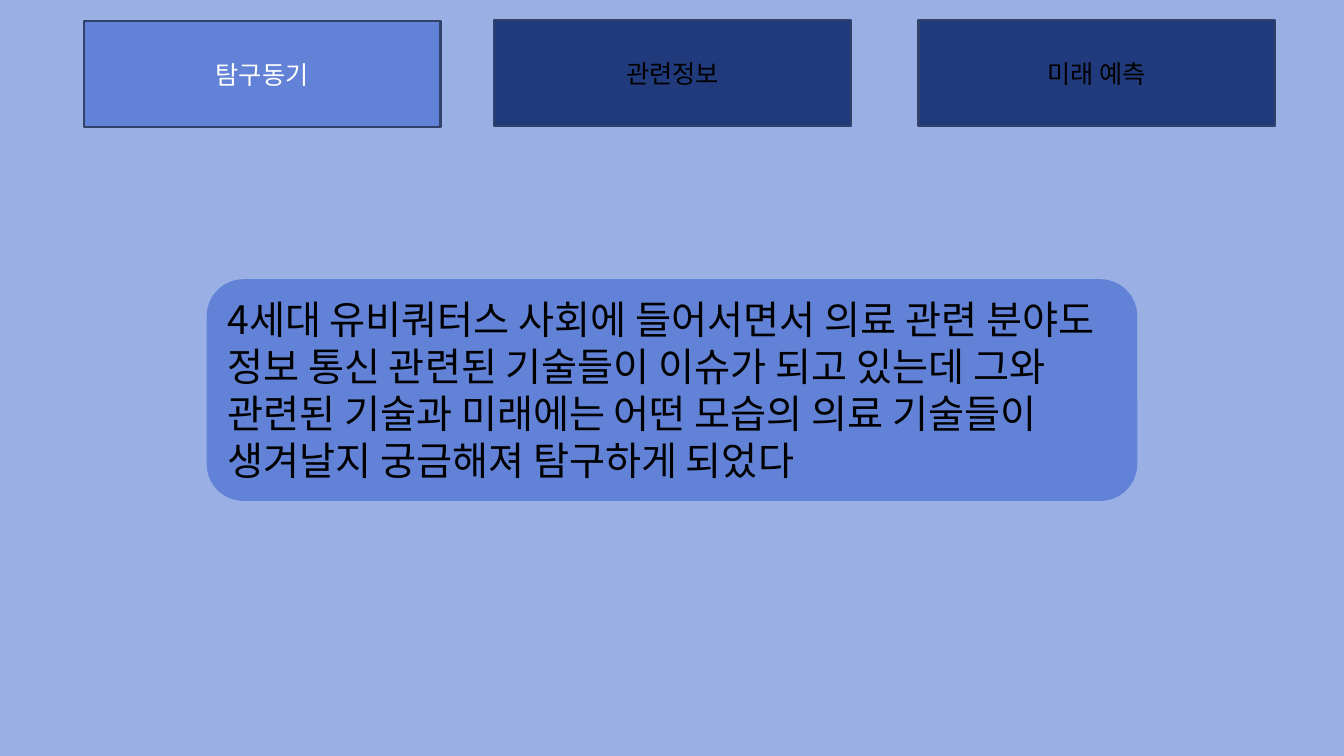
"""Build the slide on the motive for the study, with three section tabs."""
from pptx import Presentation
from pptx.dml.color import RGBColor
from pptx.enum.shapes import MSO_SHAPE
from pptx.enum.text import MSO_ANCHOR, PP_ALIGN
from pptx.oxml.ns import qn
from pptx.util import Inches, Pt
from lxml.etree import SubElement

FONT = "Noto Sans CJK KR"
HEX = {"back": "9AAFE4", "blue": "6182D6", "navy": "203A7B",
       "edge": "30416A", "white": "FFFFFF", "black": "000000"}
TABS = [("탐구동기", 0.83, 0.21, "blue", "white"),
        ("관련정보", 4.9, 0.2, "navy", "black"),
        ("미래 예측", 9.11, 0.2, "navy", "black")]
TAB_SIZE = (3.54, 1.05)
MOTIVE = ("4세대 유비쿼터스 사회에 들어서면서 의료 관련 분야도 정보 통신 관련된 "
          "기술들이 이슈가 되고 있는데 그와 관련된 기술과 미래에는 어떤 모습의 "
          "의료 기술들이 생겨날지 궁금해져 탐구하게 되었다")
MOTIVE_BOX = (2.05, 2.77, 9.23, 2.2)


def tint(name):
    return RGBColor.from_string(HEX[name])


def add_box(kind, box, text, fill, ink, size, align, anchor):
    shape = slide.shapes.add_shape(kind, *map(Inches, box))
    shape.shadow.inherit = False
    shape.fill.solid()
    shape.fill.fore_color.rgb = tint(fill)
    frame = shape.text_frame
    frame.word_wrap = True
    frame.vertical_anchor = anchor
    frame.text = text
    para = frame.paragraphs[0]
    para.alignment = align
    font = para.runs[0].font
    font.name, font.size = FONT, Pt(size)
    font.color.rgb = tint(ink)
    SubElement(para.runs[0]._r.get_or_add_rPr(), qn("a:ea"), typeface=FONT)
    return shape


deck = Presentation()
deck.slide_width, deck.slide_height = Inches(13.33), Inches(7.5)
slide = deck.slides.add_slide(deck.slide_layouts[6])
slide.background.fill.solid()
slide.background.fill.fore_color.rgb = tint("back")

card = add_box(MSO_SHAPE.ROUNDED_RECTANGLE, MOTIVE_BOX, MOTIVE, "blue", "black",
               28, PP_ALIGN.LEFT, MSO_ANCHOR.TOP)
card.line.fill.background()

for label, left, top, fill, ink in TABS:
    tab = add_box(MSO_SHAPE.RECTANGLE, (left, top, *TAB_SIZE), label, fill, ink,
                  18, PP_ALIGN.CENTER, MSO_ANCHOR.MIDDLE)
    tab.line.color.rgb = tint("edge")
    tab.line.width = Pt(1.5)

deck.save("out.pptx")
